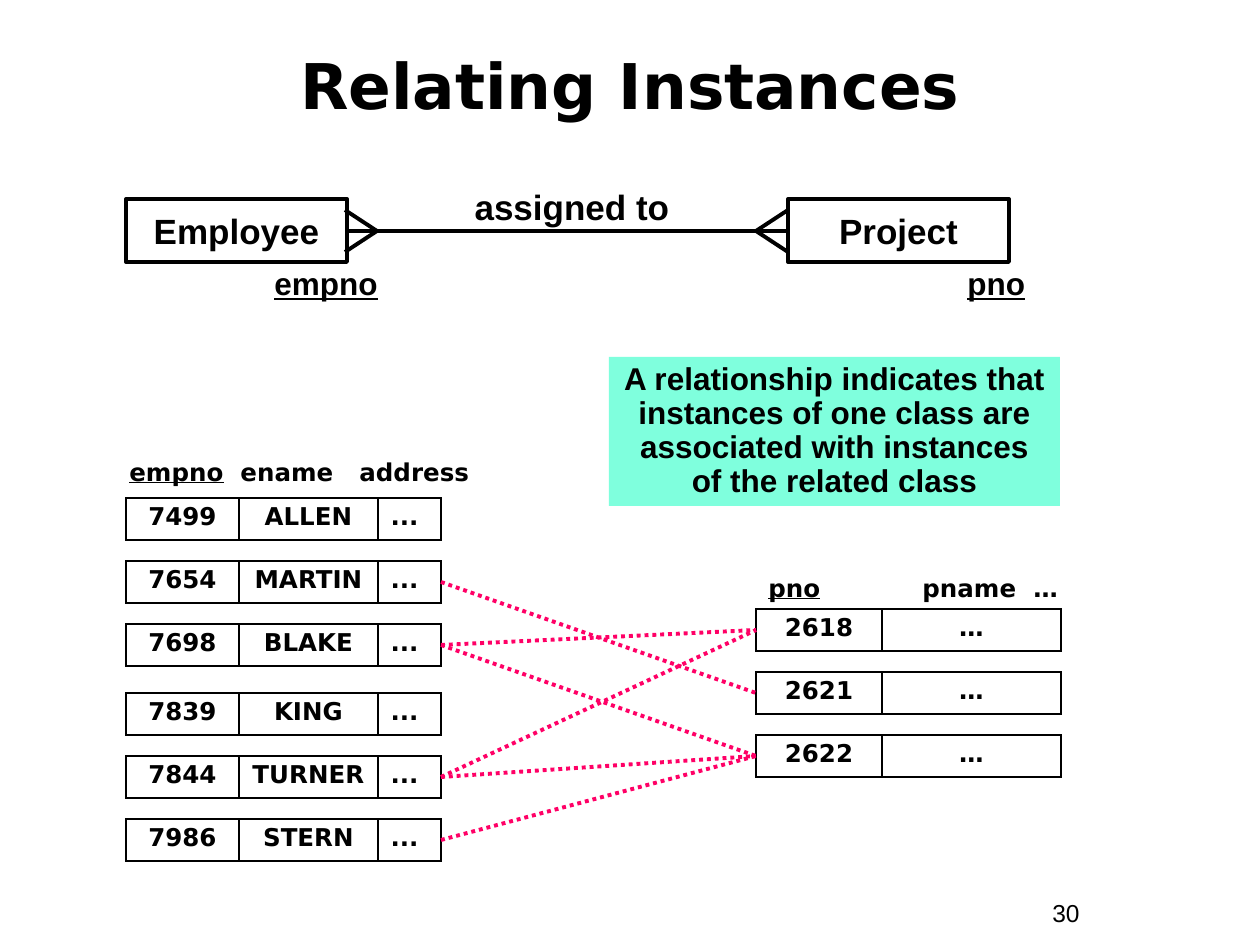
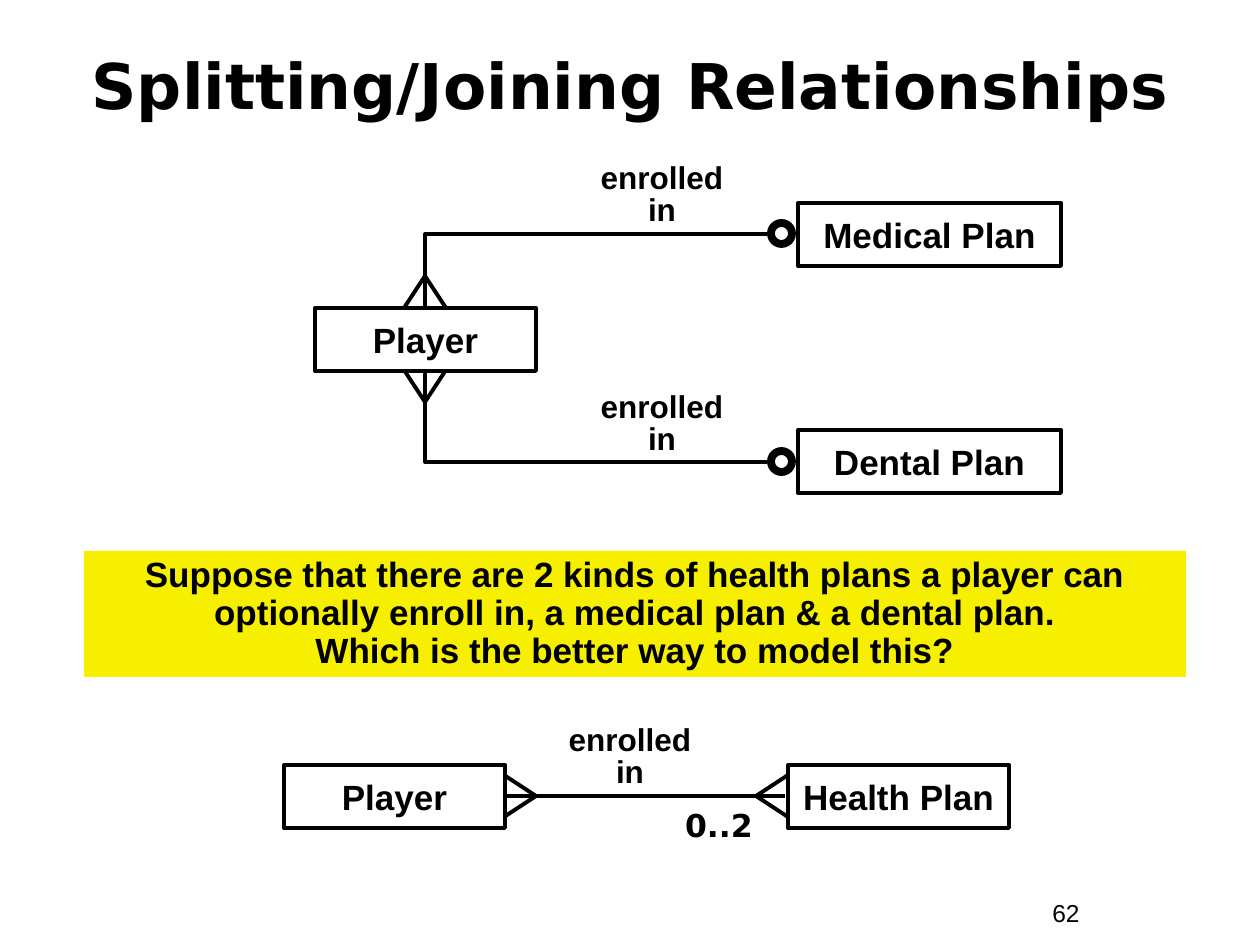
from lxml import etree
from pptx import Presentation
from pptx.dml.color import RGBColor
from pptx.enum.dml import MSO_LINE
from pptx.enum.shapes import MSO_CONNECTOR, MSO_SHAPE
from pptx.enum.text import MSO_ANCHOR, PP_ALIGN
from pptx.oxml.ns import qn
from pptx.util import Pt

PX = 914400 / 126
BLACK = RGBColor(0x00, 0x00, 0x00)
PINK = RGBColor(0xFF, 0x00, 0x66)
MINT = RGBColor(0x7F, 0xFF, 0xDD)
YELLOW = RGBColor(0xF6, 0xF0, 0x00)
ARIAL, SANS = "Arial", "DejaVu Sans"
LEFT, MID = PP_ALIGN.LEFT, PP_ALIGN.CENTER
RECT, OVAL = MSO_SHAPE.RECTANGLE, MSO_SHAPE.OVAL
STRAIGHT, ELBOW = MSO_CONNECTOR.STRAIGHT, MSO_CONNECTOR.ELBOW
DOTS = MSO_LINE.ROUND_DOT


def write(frame, text, size, font=ARIAL, align=MID, space=1.0, key="", tabs=(), bold=True):
    """Fill a text frame; key is an underlined first run."""
    frame.word_wrap = True
    para = frame.paragraphs[0]
    para.alignment = align
    para.line_spacing = space
    if tabs:
        stops = etree.SubElement(para._p.get_or_add_pPr(), qn("a:tabLst"))
        for stop in tabs:
            etree.SubElement(stops, qn("a:tab"), pos=str(round(stop * PX)), algn="l")
    parts = [key] if key else []
    parts += text.split("\n") if text else []
    for i, part in enumerate(parts):
        if i and not key:
            para.add_line_break()
        run = para.add_run()
        run.text = part
        run.font.name, run.font.size, run.font.bold = font, Pt(size), bold
        run.font.underline = bool(key) and i == 0
        run.font.color.rgb = BLACK


def line(slide, x1, y1, x2, y2, color=BLACK, dash=None, kind=STRAIGHT):
    """Draw a connector; an elbow runs sideways first, then turns once."""
    link = slide.shapes.add_connector(kind, *[round(v * PX) for v in (x1, y1, x2, y2)])
    link.line.color.rgb = color
    link.line.width = Pt(2.25)
    if dash:
        link.line.dash_style = dash
    props = link._element.spPr
    if kind == ELBOW:
        props.find(qn("a:prstGeom")).set("prst", "bentConnector2")
    etree.SubElement(props, qn("a:effectLst"))


deck = Presentation()
deck.slide_width, deck.slide_height = round(1260 * PX), round(945 * PX)

# Titles and page numbers
slides = []
for name, page in [("Relating Instances", "30"), ("Splitting/Joining Relationships", "62")]:
    slide = deck.slides.add_slide(deck.slide_layouts[5])
    title = slide.shapes.title
    title.left, title.top, title.width, title.height = [
        round(v * PX) for v in (42, 32, 1176, 105)]
    title.text_frame.vertical_anchor = MSO_ANCHOR.MIDDLE
    write(title.text_frame, name, 36, SANS)
    foot = slide.shapes.add_textbox(*[round(v * PX) for v in (1040, 892, 116, 43)])
    write(foot.text_frame, page, 14, align=LEFT, bold=False)
    slides.append(slide)
first, second = slides

# Class boxes and coloured panels
NOTE = ("A relationship indicates that instances of one class are "
        "associated with instances of the related class")
QUERY = ("Suppose that there are 2 kinds of health plans a player can "
         "optionally enroll in, a medical plan & a dental plan.\n"
         "Which is the better way to model this?")
for slide, text, x, y, w, h, size, fill in [
    (first, "Employee", 126, 199, 221, 63, 20, None),
    (first, "Project", 788, 199, 221, 63, 20, None),
    (first, NOTE, 609, 357, 451, 149, 18, MINT),
    (second, "Medical Plan", 798, 203, 263, 63, 20, None),
    (second, "Player", 315, 308, 221, 63, 20, None),
    (second, "Dental Plan", 798, 430, 263, 63, 20, None),
    (second, QUERY, 84, 551, 1102, 126, 20, YELLOW),
    (second, "Player", 284, 765, 221, 63, 20, None),
    (second, "Health Plan", 788, 765, 221, 63, 20, None),
]:
    box = slide.shapes.add_shape(RECT, *[round(v * PX) for v in (x, y, w, h)])
    box.shadow.inherit = False
    if fill:
        box.fill.solid()
        box.fill.fore_color.rgb = fill
        box.line.fill.background()
    else:
        box.fill.background()
        box.line.color.rgb = BLACK
        box.line.width = Pt(2.25)
    write(box.text_frame, text, size, space=0.9 if fill else 1.0)

# Labels, keys and column heads
for slide, key, text, x, y, w, h, size, font, align, space, tabs in [
    (first, "", "assigned to", 441, 179, 262, 55, 20, ARIAL, MID, 1.0, ()),
    (first, "empno", "", 262, 262, 147, 47, 18, ARIAL, LEFT, 0.9, ()),
    (first, "pno", "", 955, 262, 147, 47, 18, ARIAL, LEFT, 0.9, ()),
    (first, "empno", "\tename\taddress", 117, 451, 455, 43, 14, SANS, LEFT, 1.0, (111, 230)),
    (first, "pno", "\tpname\t…", 756, 567, 336, 43, 14, SANS, LEFT, 1.0, (154, 265)),
    (second, "", "enrolled\nin", 557, 158, 210, 77, 18, ARIAL, MID, 0.85, ()),
    (second, "", "enrolled\nin", 557, 387, 210, 77, 18, ARIAL, MID, 0.85, ()),
    (second, "", "enrolled\nin", 525, 720, 210, 77, 18, ARIAL, MID, 0.85, ()),
    (second, "", "0..2", 651, 800, 136, 50, 18, SANS, MID, 1.0, ()),
]:
    label = slide.shapes.add_textbox(*[round(v * PX) for v in (x, y, w, h)])
    write(label.text_frame, text, size, font, align, space, key, tabs)

# Relationship lines
line(first, 349, 231, 786, 231)
line(second, 506, 796, 785, 796)
line(second, 767, 234, 425, 306, kind=ELBOW)
line(second, 767, 462, 425, 373, kind=ELBOW)

# Crow's feet: tip, then the step from the tip to the box
for slide, x, y, dx, dy in [
    (first, 377, 231, -32, 0), (first, 756, 231, 32, 0),
    (second, 536, 796, -32, 0), (second, 756, 796, 32, 0),
    (second, 425, 276, 0, 32), (second, 425, 402, 0, -32),
]:
    for side in (-21, 21):
        line(slide, x, y, x + (dx or side), y + (dy or side))

# Optional ends
for y in (223, 451):
    ring = second.shapes.add_shape(OVAL, *[round(v * PX) for v in (771, y, 21, 21)])
    ring.shadow.inherit = False
    ring.fill.background()
    ring.line.color.rgb = BLACK
    ring.line.width = Pt(4.5)

# Instance rows, one table each
ROW = 42
STAFF = [(498, "7499", "ALLEN"), (561, "7654", "MARTIN"), (624, "7698", "BLAKE"),
         (693, "7839", "KING"), (756, "7844", "TURNER"), (819, "7986", "STERN")]
JOBS = [(609, "2618"), (672, "2621"), (735, "2622")]
rows = [(126, y, (113, 139, 63), (num, name, "...")) for y, num, name in STAFF]
rows += [(756, y, (126, 179), (num, "…")) for y, num in JOBS]
for x, y, cols, texts in rows:
    table = first.shapes.add_table(
        1, len(cols), *[round(v * PX) for v in (x, y, sum(cols), ROW)]).table
    table.first_row = table.horz_banding = False
    for i, (width, text) in enumerate(zip(cols, texts)):
        table.columns[i].width = round(width * PX)
        cell = table.cell(0, i)
        write(cell.text_frame, text, 14, SANS, LEFT if text == "..." else MID, 0.9)
        props = cell._tc.get_or_add_tcPr()
        for side in ("a:lnL", "a:lnR", "a:lnT", "a:lnB"):
            edge = etree.SubElement(props, qn(side), w=str(Pt(1.08)))
            paint = etree.SubElement(edge, qn("a:solidFill"))
            etree.SubElement(paint, qn("a:srgbClr"), val=str(BLACK))
        cell.fill.background()

# Links from staff rows to project rows
for i, j in [(1, 1), (2, 0), (2, 2), (4, 0), (4, 2), (5, 2)]:
    line(first, 441, STAFF[i][0] + ROW // 2, 756, JOBS[j][0] + ROW // 2, PINK, DOTS)

deck.save("out.pptx")
